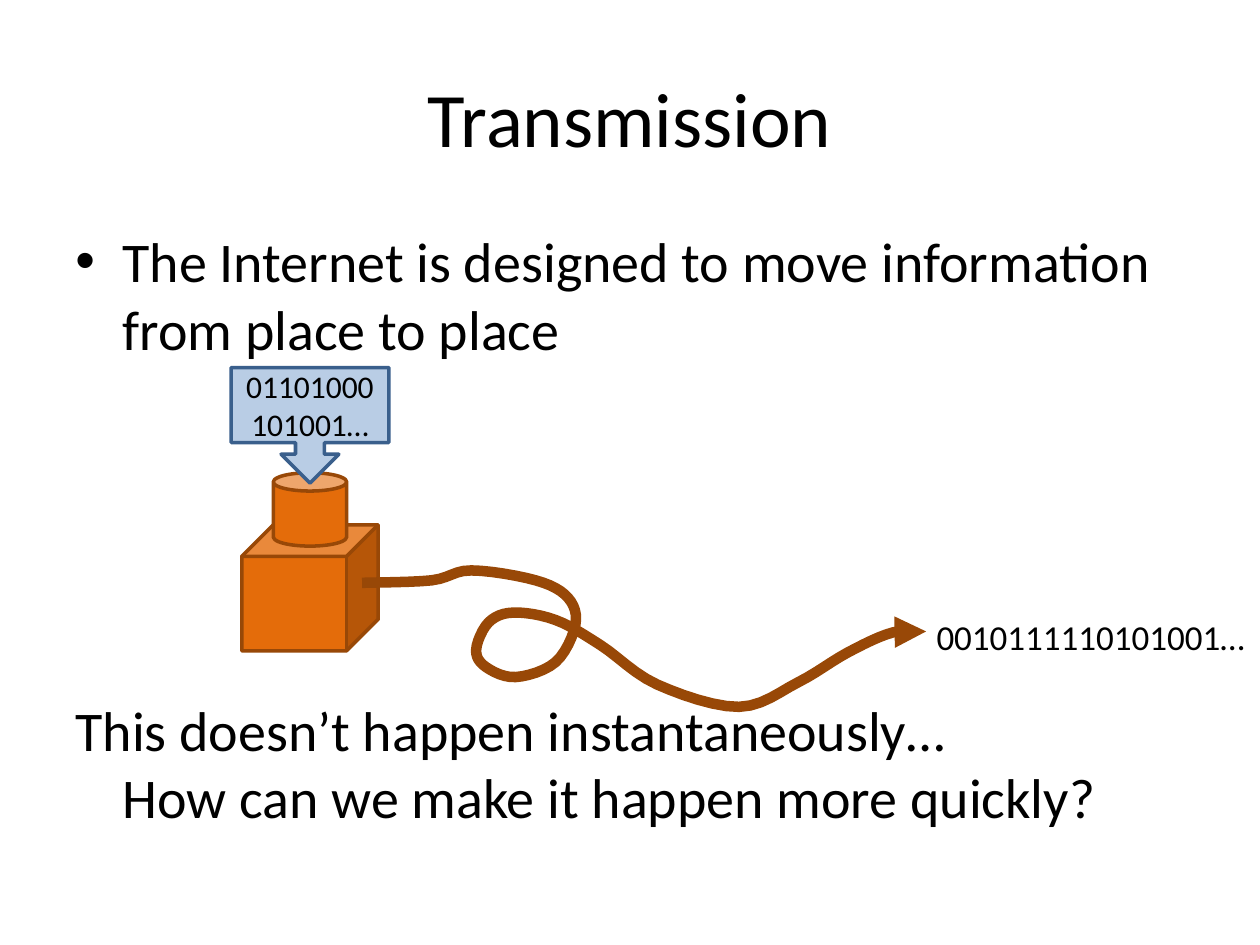
from lxml import etree
from pptx import Presentation
from pptx.dml.color import RGBColor
from pptx.enum.shapes import MSO_SHAPE
from pptx.enum.text import MSO_ANCHOR, PP_ALIGN
from pptx.oxml.ns import qn
from pptx.util import Cm, Pt

CUBE, CAN = MSO_SHAPE.CUBE, MSO_SHAPE.CAN
CALLOUT = MSO_SHAPE.DOWN_ARROW_CALLOUT
TOP, MIDDLE = MSO_ANCHOR.TOP, MSO_ANCHOR.MIDDLE
LEFT, CENTER = PP_ALIGN.LEFT, PP_ALIGN.CENTER

FONT = "Calibri"
COLORS = {
    "text": "000000",
    "orange": "E46C0A",
    "brown": "984807",
    "light_blue": "B9CDE5",
    "blue": "3A5F8C",
}

# All lengths are in centimetres
SLIDE_WIDTH, SLIDE_HEIGHT = 25.4, 19.05
MARGIN = 1.27
CONTENT_WIDTH = SLIDE_WIDTH - 2 * MARGIN
HANGING_INDENT = 0.95
MACHINE_CENTER = 6.25

# The wire leaves the box, makes one loop, dips and rises to the received bits
WIRE_START = [(7.3, 11.75), (8.7, 11.7), (9.5, 11.5), (10.8, 11.7), (11.45, 12.05)]
WIRE_LOOP = [(11.6, 12.6), (11.2, 13.35), (10.4, 13.65), (9.8, 13.45),
             (9.6, 13.1), (9.85, 12.55), (10.35, 12.35), (11.2, 12.5)]
WIRE_DIP = [(12.1, 13), (13.25, 13.8), (14.9, 14.25), (16.1, 13.75), (17.1, 13.15)]
WIRE_END = [(18, 12.75), (18.67, 12.73)]
STEPS_PER_KNOT = 6


def color(name):
    return RGBColor.from_string(COLORS[name])


def write_text(shape, text, size, align=LEFT, anchor=TOP):
    frame = shape.text_frame
    frame.word_wrap = True
    frame.vertical_anchor = anchor
    paragraph = frame.paragraphs[0]
    paragraph.text = text
    paragraph.alignment = align
    paragraph.font.name = FONT
    paragraph.font.size = Pt(size)
    paragraph.font.color.rgb = color("text")
    return paragraph


def add_text(slide, box, text, size, align=LEFT, anchor=TOP):
    shape = slide.shapes.add_textbox(*map(Cm, box))
    return write_text(shape, text, size, align, anchor)


def add_body_text(slide, top, height, text, bullet=None):
    """Add full-width text whose first line hangs out to the left."""
    paragraph = add_text(slide, (MARGIN, top, CONTENT_WIDTH, height), text, 32)
    properties = paragraph._p.get_or_add_pPr()
    properties.set("marL", str(Cm(HANGING_INDENT)))
    properties.set("indent", str(-Cm(HANGING_INDENT)))
    if bullet:
        etree.SubElement(properties, qn("a:buFont"), typeface="Arial")
        etree.SubElement(properties, qn("a:buChar"), char=bullet)


def set_outline(shape, line, width):
    shape.shadow.inherit = False
    shape.line.color.rgb = color(line)
    shape.line.width = Pt(width)


def add_machine_part(slide, kind, top, width, height, fill, line):
    """Add a filled shape centred on the machine's vertical axis."""
    left = MACHINE_CENTER - width / 2
    shape = slide.shapes.add_shape(kind, *map(Cm, (left, top, width, height)))
    shape.fill.solid()
    shape.fill.fore_color.rgb = color(fill)
    set_outline(shape, line, 2)
    return shape


def spline_value(before, start, end, after, t):
    """Return the Catmull-Rom value at t (0 to 1) between start and end."""
    linear = end - before
    square = 2 * before - 5 * start + 4 * end - after
    cube = 3 * start - before - 3 * end + after
    return start + (linear * t + square * t ** 2 + cube * t ** 3) / 2


def smooth_curve(knots):
    """Return closely spaced points on a smooth curve through the knots."""
    padded = [knots[0], *knots, knots[-1]]
    points = [knots[0]]
    for neighbours in zip(padded, padded[1:], padded[2:], padded[3:]):
        xs, ys = zip(*neighbours)
        for step in range(1, STEPS_PER_KNOT + 1):
            t = step / STEPS_PER_KNOT
            points.append((spline_value(*xs, t), spline_value(*ys, t)))
    return points


def add_wire(slide, knots):
    """Draw an open curve with rounded joins and an arrowhead at its end."""
    start, *others = [(Cm(x), Cm(y)) for x, y in smooth_curve(knots)]
    builder = slide.shapes.build_freeform(*start)
    builder.add_line_segments(others, close=False)
    wire = builder.convert_to_shape()
    wire.fill.background()
    set_outline(wire, "brown", 6)
    outline = wire._element.spPr.find(qn("a:ln"))
    etree.SubElement(outline, qn("a:round"))
    etree.SubElement(outline, qn("a:tailEnd"), type="triangle")


def main():
    presentation = Presentation()
    presentation.slide_width = Cm(SLIDE_WIDTH)
    presentation.slide_height = Cm(SLIDE_HEIGHT)
    slide = presentation.slides.add_slide(presentation.slide_layouts[6])

    add_text(slide, (MARGIN, 0.76, CONTENT_WIDTH, 3.18), "Transmission", 44, CENTER, MIDDLE)
    add_body_text(slide, 4.45, 3.2,
                  "The Internet is designed to move information from place to place", "•")
    add_body_text(slide, 13.89, 3.69,
                  "This doesn’t happen instantaneously…\vHow can we make it happen more quickly?")

    add_machine_part(slide, CUBE, 10.58, 2.75, 2.54, "orange", "brown")
    add_machine_part(slide, CAN, 9.53, 1.48, 1.48, "orange", "brown")
    sent_bits = add_machine_part(slide, CALLOUT, 7.41, 3.18, 2.33, "light_blue", "blue")
    write_text(sent_bits, "01101000101001…", 18, CENTER, MIDDLE)

    add_wire(slide, WIRE_START + WIRE_LOOP + WIRE_DIP + WIRE_END)
    add_text(slide, (18.63, 12.28, 7.62, 1.11), "0010111110101001…", 20)

    presentation.save("out.pptx")


if __name__ == "__main__":
    main()
